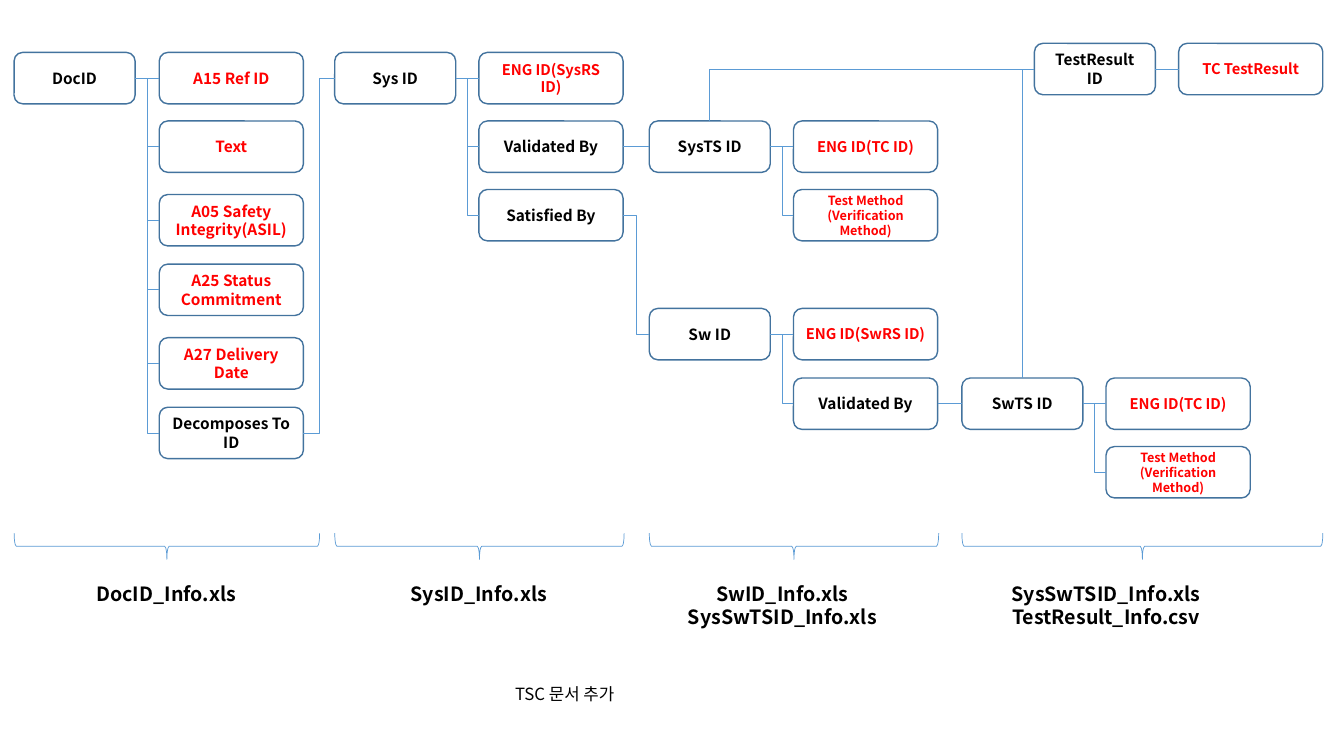
from dataclasses import dataclass

import lxml.etree
import pptx
import pptx.dml.color
import pptx.enum.shapes
import pptx.enum.text
import pptx.oxml.ns
import pptx.util

SCALE = 9144
FONT = "Noto Sans CJK KR"
COLORS = {
    "outline": "43739E",
    "link": "5B9BD5",
    "key": "000000",
    "field": "FF0000",
}
ID_W, FIELD_W, BOX_H = 120, 143, 51
BRACE_Y, BRACE_H = 529, 26
LABEL_Y, LABEL_W = 572, 218
TOP, RIGHT, LEFT = 0, 3, 1


@dataclass(frozen=True)
class Box:
    name: str
    text: str
    x: int
    y: int
    w: int = FIELD_W
    color: str = "key"
    size: float = 11


@dataclass(frozen=True)
class FileGroup:
    text: str
    x: int
    w: int
    label_x: int
    label_h: int


METHOD = "Test Method\n(Verification Method)"
BOXES = [
    Box("doc", "DocID", 14, 52, ID_W),
    Box("ref", "A15 Ref ID", 158, 52, color="field"),
    Box("text", "Text", 158, 120, color="field"),
    Box("safety", "A05 Safety Integrity(ASIL)", 158, 193, color="field"),
    Box("status", "A25 Status Commitment", 158, 262, color="field"),
    Box("delivery", "A27 Delivery Date", 158, 335, color="field"),
    Box("decomposes", "Decomposes To ID", 158, 404),
    Box("sys", "Sys ID", 332, 52, ID_W),
    Box("sys_eng", "ENG ID(SysRS ID)", 475, 52, color="field", size=10.5),
    Box("sys_validated", "Validated By", 475, 120),
    Box("sys_satisfied", "Satisfied By", 475, 188),
    Box("systs", "SysTS ID", 644, 120, ID_W),
    Box("systs_eng", "ENG ID(TC ID)", 787, 120, color="field", size=10.5),
    Box("systs_method", METHOD, 787, 188, color="field", size=9),
    Box("sw", "Sw ID", 644, 306, ID_W),
    Box("sw_eng", "ENG ID(SwRS ID)", 787, 306, color="field", size=10.5),
    Box("sw_validated", "Validated By", 787, 375),
    Box("swts", "SwTS ID", 954, 375, ID_W),
    Box("swts_eng", "ENG ID(TC ID)", 1097, 375, color="field", size=10.5),
    Box("swts_method", METHOD, 1097, 443, color="field", size=9),
    Box("result", "TestResult ID", 1026, 43, ID_W),
    Box("result_tc", "TC TestResult", 1169, 43, color="field", size=10.5),
]
LINKS = {
    "doc": ["ref", "text", "safety", "status", "delivery", "decomposes"],
    "decomposes": ["sys"],
    "sys": ["sys_eng", "sys_validated", "sys_satisfied"],
    "sys_validated": ["systs"],
    "sys_satisfied": ["sw"],
    "systs": ["systs_eng", "systs_method"],
    "sw": ["sw_eng", "sw_validated"],
    "sw_validated": ["swts"],
    "swts": ["swts_eng", "swts_method"],
    "result": ["result_tc"],
}
RESULT_SOURCES = ["systs", "swts"]
GROUPS = [
    FileGroup("DocID_Info.xls", 14, 303, 56, 34),
    FileGroup("SysID_Info.xls", 332, 287, 366, 34),
    FileGroup("SwID_Info.xls\vSysSwTSID_Info.xls", 644, 287, 667, 57),
    FileGroup("SysSwTSID_Info.xls\nTestResult_Info.csv", 954, 358, 988, 57),
]


def px(value: float) -> pptx.util.Emu:
    return pptx.util.Emu(round(value * SCALE))


def rgb(name: str) -> pptx.dml.color.RGBColor:
    return pptx.dml.color.RGBColor.from_string(COLORS[name])


def write(sp, text: str, size: float, color: str, bold: bool, align) -> None:
    tf = sp.text_frame
    tf.word_wrap = True
    tf.text = text
    for p in tf.paragraphs:
        p.alignment = align
        for r in p.runs:
            r.font.name = FONT
            r.font.size = pptx.util.Pt(size)
            r.font.bold = bold
            r.font.color.rgb = rgb(color)
            ea = lxml.etree.SubElement(r.font._element, pptx.oxml.ns.qn("a:ea"))
            ea.set("typeface", FONT)


def add_outline(slide, kind, x: float, y: float, w: int, h: int, color: str, width: float):
    sp = slide.shapes.add_shape(kind, px(x), px(y), px(w), px(h))
    sp.shadow.inherit = False
    sp.fill.background()
    sp.line.color.rgb = rgb(color)
    sp.line.width = pptx.util.Pt(width)
    return sp


def add_box(slide, box: Box):
    kind = pptx.enum.shapes.MSO_SHAPE.ROUNDED_RECTANGLE
    sp = add_outline(slide, kind, box.x, box.y, box.w, BOX_H, "outline", 1)
    write(sp, box.text, box.size, box.color, True, pptx.enum.text.PP_ALIGN.CENTER)
    return sp


def add_link(slide, start, end, start_side: int = RIGHT):
    kinds = pptx.enum.shapes.MSO_CONNECTOR
    level = start_side == RIGHT and start.top == end.top
    cxn = slide.shapes.add_connector(kinds.STRAIGHT if level else kinds.ELBOW, 0, 0, 0, 0)
    cxn.begin_connect(start, start_side)
    cxn.end_connect(end, LEFT)
    cxn.line.color.rgb = rgb("link")
    cxn.line.width = pptx.util.Pt(0.5)
    lxml.etree.SubElement(cxn._element.spPr, pptx.oxml.ns.qn("a:effectLst"))
    return cxn


def add_corner_link(slide, start, end) -> None:
    cxn = add_link(slide, start, end, TOP)
    x1, y1 = start.left + start.width // 2, start.top
    x2, y2 = end.left, end.top + end.height // 2
    cxn.width, cxn.height = abs(y2 - y1), abs(x2 - x1)
    cxn.left = (x1 + x2 - cxn.width) // 2
    cxn.top = (y1 + y2 - cxn.height) // 2
    spPr = cxn._element.spPr
    spPr.find(pptx.oxml.ns.qn("a:prstGeom")).set("prst", "bentConnector2")
    xfrm = spPr.find(pptx.oxml.ns.qn("a:xfrm"))
    for name, value in (("rot", "5400000"), ("flipH", "1"), ("flipV", "1")):
        xfrm.set(name, value)


def add_text(slide, text: str, x: int, y: int, w: int, h: int, size: float, bold: bool, align) -> None:
    sp = slide.shapes.add_textbox(px(x), px(y), px(w), px(h))
    write(sp, text, size, "key", bold, align)
    sp.text_frame.auto_size = pptx.enum.text.MSO_AUTO_SIZE.SHAPE_TO_FIT_TEXT


def add_group(slide, group: FileGroup) -> None:
    x = group.x + (group.w - BRACE_H) / 2
    y = BRACE_Y + (BRACE_H - group.w) / 2
    kind = pptx.enum.shapes.MSO_SHAPE.RIGHT_BRACE
    sp = add_outline(slide, kind, x, y, BRACE_H, group.w, "link", 0.5)
    sp.rotation = 90
    add_text(slide, group.text, group.label_x, LABEL_Y, LABEL_W, group.label_h, 14, True,
             pptx.enum.text.PP_ALIGN.CENTER)


def main() -> None:
    prs = pptx.Presentation()
    prs.slide_width, prs.slide_height = px(1333), px(750)
    slide = prs.slides.add_slide(prs.slide_layouts[6])
    shapes = {box.name: add_box(slide, box) for box in BOXES}
    for start, ends in LINKS.items():
        for end in ends:
            add_link(slide, shapes[start], shapes[end])
    for source in RESULT_SOURCES:
        add_corner_link(slide, shapes[source], shapes["result"])
    for group in GROUPS:
        add_group(slide, group)
    add_text(slide, "TSC 문서 추가", 501, 673, 143, 30, 12, False, pptx.enum.text.PP_ALIGN.LEFT)
    prs.save("out.pptx")


if __name__ == "__main__":
    main()
